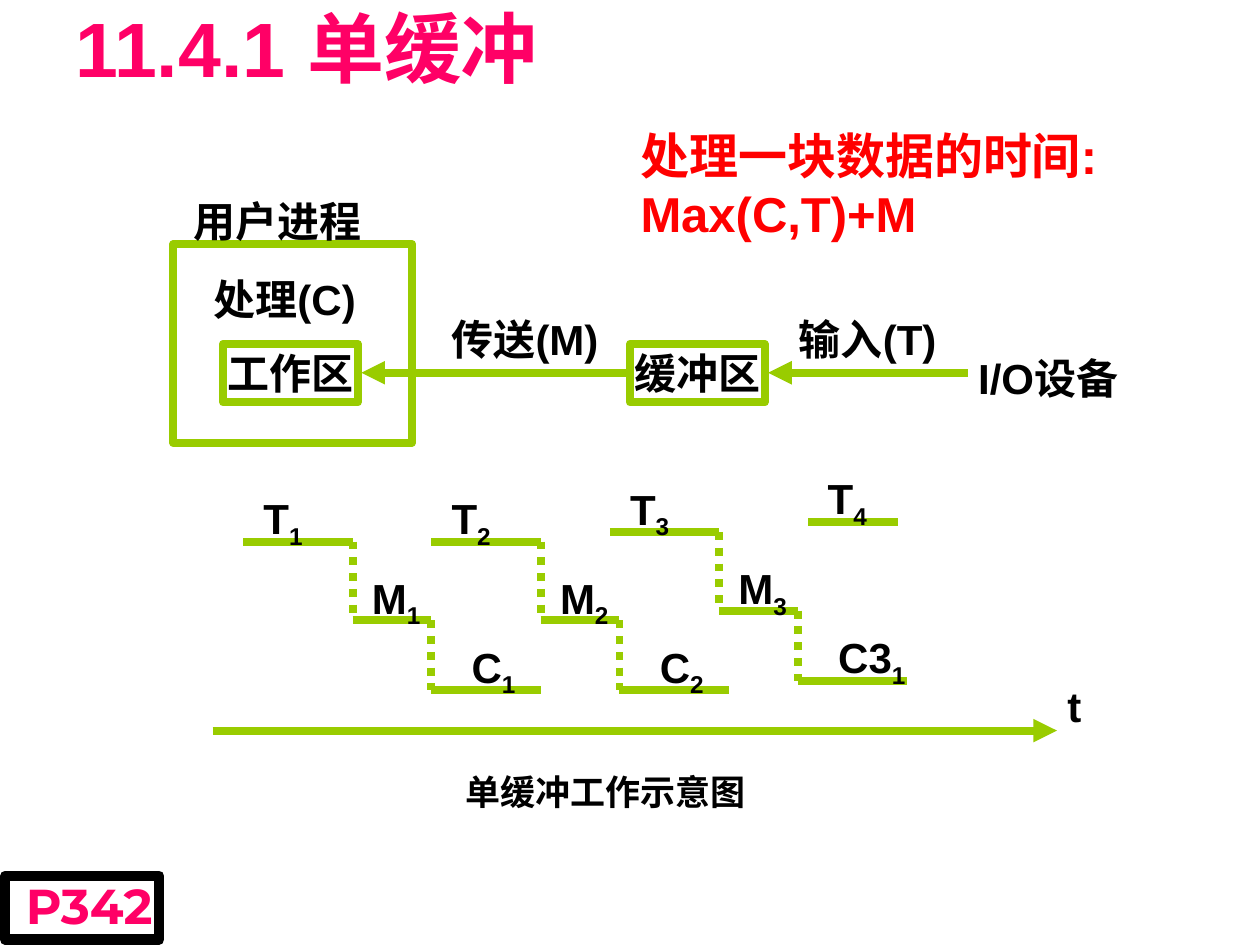
from dataclasses import dataclass
from lxml import etree
from pptx import Presentation
from pptx.dml.color import RGBColor
from pptx.enum import dml, shapes, text
from pptx.oxml import ns
from pptx.util import Pt

GREEN = RGBColor(0x99, 0xCC, 0x00)
PINK = RGBColor(0xFF, 0x00, 0x66)
RED = RGBColor(0xFF, 0x00, 0x00)
BLACK = RGBColor(0x00, 0x00, 0x00)


@dataclass
class Label:
    words: str
    left: float
    top: float
    width: float = 148
    height: float = 29
    size: float = 24
    color: RGBColor = BLACK
    sub: str = ""


@dataclass
class Box:
    left: float
    top: float
    width: float
    height: float
    words: str = ""
    line: RGBColor = GREEN
    weight: float = 4.5
    size: float = 24
    color: RGBColor = BLACK
    font: str = "Arial"
    wrap: bool = False
    anchor: text.MSO_ANCHOR = text.MSO_ANCHOR.MIDDLE


@dataclass
class Cycle:
    left: float
    top: float
    marks: tuple


def add_run(par, words: str, size: float, color: RGBColor, font: str = "Arial"):
    run = par.add_run()
    run.text = words
    run.font.name = font
    run.font.size = Pt(size)
    run.font.bold = True
    run.font.color.rgb = color
    return run


def trim(frame, wrap: bool) -> None:
    frame.margin_left = frame.margin_right = 0
    frame.margin_top = frame.margin_bottom = 0
    frame.word_wrap = wrap


def draw_label(slide, item: Label) -> None:
    area = slide.shapes.add_textbox(
        Pt(item.left), Pt(item.top), Pt(item.width), Pt(item.height))
    trim(area.text_frame, True)
    par = area.text_frame.paragraphs[0]
    add_run(par, item.words, item.size, item.color)
    if item.sub:
        run = add_run(par, item.sub, item.size, item.color)
        run.font._element.set("baseline", "-25000")


def draw_box(slide, item: Box) -> None:
    rect = slide.shapes.add_shape(
        shapes.MSO_SHAPE.RECTANGLE,
        Pt(item.left), Pt(item.top), Pt(item.width), Pt(item.height))
    rect.shadow.inherit = False
    rect.fill.background()
    rect.line.color.rgb = item.line
    rect.line.width = Pt(item.weight)
    if item.words:
        frame = rect.text_frame
        trim(frame, item.wrap)
        frame.vertical_anchor = item.anchor
        par = frame.paragraphs[0]
        par.alignment = text.PP_ALIGN.CENTER
        add_run(par, item.words, item.size, item.color, item.font)


def draw_line(slide, start: tuple, end: tuple,
              dots: bool = False, arrow: bool = False) -> None:
    line = slide.shapes.add_connector(
        shapes.MSO_CONNECTOR.STRAIGHT, *map(Pt, start + end))
    line.line.color.rgb = GREEN
    line.line.width = Pt(4.5)
    if dots:
        line.line.dash_style = dml.MSO_LINE.ROUND_DOT
    if arrow:
        tail = etree.SubElement(line.line._get_or_add_ln(), ns.qn("a:tailEnd"))
        tail.set("type", "triangle")
    etree.SubElement(line._element.spPr, ns.qn("a:effectLst"))


def draw_cycle(slide, item: Cycle) -> None:
    steps = ((0, 0, 62.5), (62.5, 45, 45), (107.5, 85, 62.5))
    shifts = ((11.5, -28), (73.5, 17.5), (130.5, 57))
    for k, (x, y, width) in enumerate(steps):
        left, top = item.left + x, item.top + y
        right = left + width
        draw_line(slide, (left, top), (right, top))
        if k < 2:
            foot = item.top + steps[k + 1][1]
            draw_line(slide, (right, top), (right, foot), dots=True)
    for (x, y), (words, sub) in zip(shifts, item.marks):
        draw_label(slide, Label(words, item.left + x, item.top + y, 51, sub=sub))


def draw_title(slide) -> None:
    title = slide.shapes.title
    title.left, title.top, title.width, title.height = map(Pt, (36, 0, 648, 53))
    frame = title.text_frame
    frame.auto_size = text.MSO_AUTO_SIZE.NONE
    frame.vertical_anchor = text.MSO_ANCHOR.MIDDLE
    par = frame.paragraphs[0]
    par.alignment = text.PP_ALIGN.LEFT
    add_run(par, "11.4.1 单缓冲", 44, PINK)


BOXES = (
    Box(127.5, 196.5, 77, 33.5, "工作区"),
    Box(360, 196.5, 77, 33.5, "缓冲区"),
    Box(99, 139.5, 136.5, 113.5),
    Box(3, 500.5, 88, 36.5, " P342", BLACK, 6, 28, PINK, "Montserrat",
        True, text.MSO_ANCHOR.TOP),
)

LABELS = (
    Label("I/O设备", 559, 201.5, 91),
    Label("输入(T)", 456.5, 179),
    Label("传送(M)", 258, 179),
    Label("处理(C)", 122, 156),
    Label("用户进程", 110.5, 111.5),
    Label("T", 473, 270, 51, sub="4"),
    Label("t", 610, 389, 45),
    Label("单缓冲工作示意图", 266, 440, 320, 24, 20),
    Label("处理一块数据的时间: Max(C,T)+M", 366, 71.5, 317.5, 67, 28, RED),
)

CYCLES = (
    Cycle(139, 309.5, (("T", "1"), ("M", "1"), ("C", "1"))),
    Cycle(246.5, 309.5, (("T", "2"), ("M", "2"), ("C", "2"))),
    Cycle(348.5, 304, (("T", "3"), ("M", "3"), ("C3", "1"))),
)

ARROWS = (
    ((360, 213), (206.5, 213)),
    ((553, 213), (439, 213)),
    ((121.5, 417.5), (604, 417.5)),
)


def main() -> None:
    deck = Presentation()
    deck.slide_width, deck.slide_height = Pt(720), Pt(540)
    slide = deck.slides.add_slide(deck.slide_layouts[5])
    draw_title(slide)
    for item in BOXES:
        draw_box(slide, item)
    for start, end in ARROWS:
        draw_line(slide, start, end, arrow=True)
    for item in CYCLES:
        draw_cycle(slide, item)
    draw_line(slide, (462, 298.5), (513, 298.5))
    for item in LABELS:
        draw_label(slide, item)
    deck.save("out.pptx")


if __name__ == "__main__":
    main()
